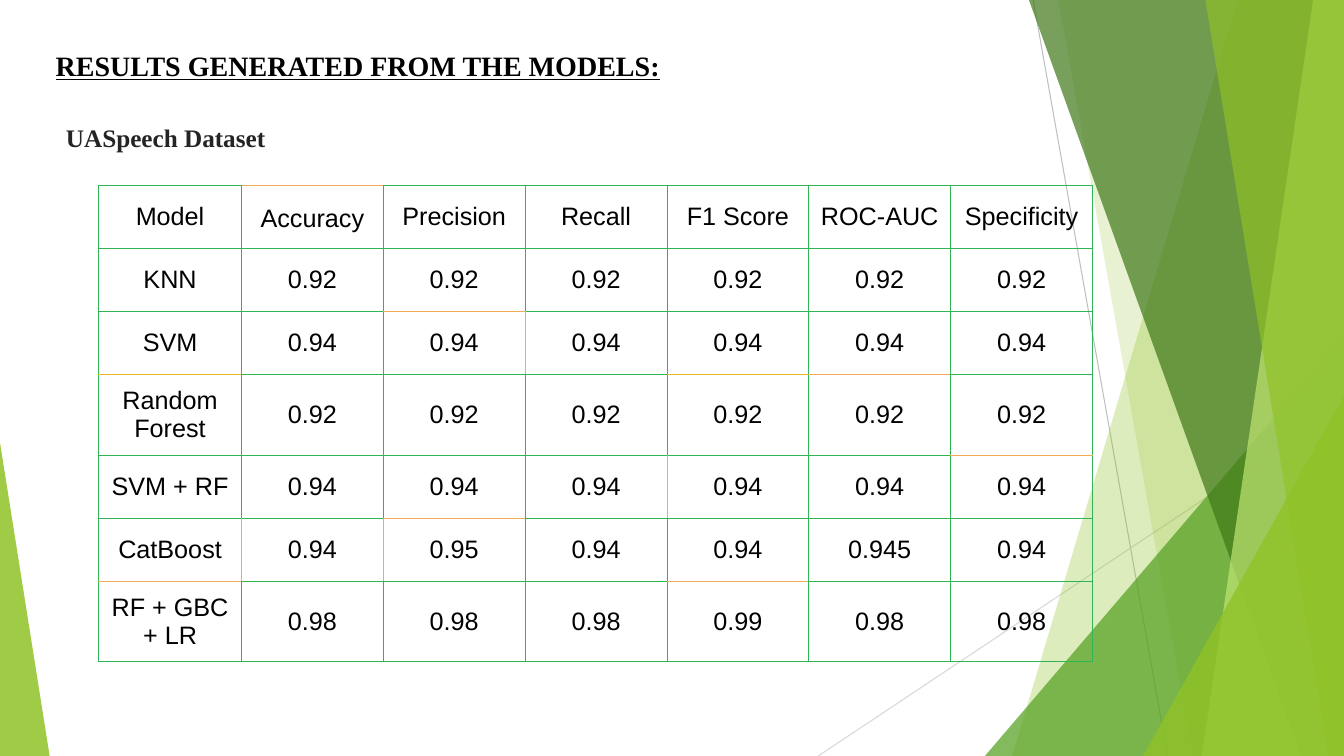
from lxml.etree import SubElement
from pptx import Presentation
from pptx.dml.color import RGBColor
from pptx.enum.shapes import MSO_CONNECTOR, MSO_SHAPE
from pptx.enum.text import MSO_ANCHOR, MSO_AUTO_SIZE, PP_ALIGN
from pptx.oxml.ns import qn
from pptx.util import Pt

THEME = {
    "black": "000000", "ink": "242424",
    "lime": "90C226", "green": "54A021", "forest": "3F7818", "pale": "BFE471",
    "line": "BFBFBF", "line_light": "D8D8D8",
    "border": "30B556", "orange": "F0AC56", "yellow": "E6B91E",
    "serif": "Times New Roman", "sans": "Arial",
    "title_size": 20, "body_size": 18, "line_width": 0.75,
}


def style_text(p, font, size, color, bold=False, underline=False):
    for r in p.runs:
        r.font.name = THEME[font]
        r.font.size = Pt(THEME[size])
        r.font.color.rgb = RGBColor.from_string(THEME[color])
        r.font.bold = bold
        r.font.underline = underline


def add_border(tc_pr, side, color):
    ln = SubElement(tc_pr, qn(f"a:ln{side}"), w=str(Pt(THEME["line_width"])))
    SubElement(SubElement(ln, qn("a:solidFill")), qn("a:srgbClr"), val=THEME[color])


prs = Presentation()
prs.slide_width, prs.slide_height = Pt(960), Pt(540)
s = prs.slides.add_slide(prs.slide_layouts[5])

# Thin background lines
for x1, y1, x2, y2, color in [
    (738, 0, 834, 540, "line"),
    (960, 290, 584.5, 540, "line_light"),
]:
    line = s.shapes.add_connector(MSO_CONNECTOR.STRAIGHT, Pt(x1), Pt(y1), Pt(x2), Pt(y2))
    line.line.color.rgb = RGBColor.from_string(THEME[color])
    line.line.width = Pt(THEME["line_width"])
    SubElement(line._element.spPr, qn("a:effectLst"))

# Translucent facets: a wedge is (top x, foot x) and reaches the right edge,
# a triangle is (left, top, width, apex) and stands on the bottom edge
facets = [
    ((884, 723), "lime", 30),
    ((756, 852), "lime", 20),
    ((703.5, 240, 256.5, 1), "green", 72),
    ((735, 929.5), "forest", 70),
    ((938, 858.5), "pale", 70),
    ((861, 949), "lime", 65),
    ((816.5, 283, 143.5, 1), "lime", 80),
    ((0, 316, 35.5, 0), "lime", 85),
]
for outline, color, opacity in facets:
    if len(outline) == 2:
        top_x, foot_x = outline
        builder = s.shapes.build_freeform(Pt(top_x), Pt(0))
        builder.add_line_segments(
            [(Pt(960), Pt(0)), (Pt(960), Pt(540)), (Pt(foot_x), Pt(540))])
        sp = builder.convert_to_shape()
    else:
        left, top, width, apex = outline
        sp = s.shapes.add_shape(MSO_SHAPE.ISOSCELES_TRIANGLE,
                                Pt(left), Pt(top), Pt(width), Pt(540 - top))
        sp.adjustments[0] = apex
    sp.shadow.inherit = False
    sp.line.fill.background()
    sp.fill.solid()
    sp.fill.fore_color.rgb = RGBColor.from_string(THEME[color])
    srgb = sp._element.spPr.find(qn("a:solidFill")).find(qn("a:srgbClr"))
    SubElement(srgb, qn("a:alpha"), val=str(opacity * 1000))

# Title and dataset heading
title = s.shapes.title
title.left, title.top, title.width, title.height = Pt(32.5), Pt(31), Pt(587), Pt(31.5)
title.text_frame.text = "RESULTS GENERATED FROM THE MODELS:"
style_text(title.text_frame.paragraphs[0], "serif", "title_size", "black", True, True)

heading = s.shapes.add_textbox(Pt(40), Pt(83.5), Pt(480), Pt(29))
heading.text_frame.text = "UASpeech Dataset"
style_text(heading.text_frame.paragraphs[0], "serif", "body_size", "ink", True)

for sp in (title, heading):
    tf = sp.text_frame
    tf.word_wrap = True
    tf.auto_size = MSO_AUTO_SIZE.SHAPE_TO_FIT_TEXT
    tf.vertical_anchor = MSO_ANCHOR.TOP
    tf.paragraphs[0].alignment = PP_ALIGN.LEFT

# Results table
results = [
    ["Model", "Accuracy", "Precision", "Recall", "F1 Score", "ROC-AUC", "Specificity"],
    ["KNN"] + ["0.92"] * 6,
    ["SVM"] + ["0.94"] * 6,
    ["Random Forest"] + ["0.92"] * 6,
    ["SVM + RF"] + ["0.94"] * 6,
    ["CatBoost", "0.94", "0.95", "0.94", "0.94", "0.945", "0.94"],
    ["RF + GBC + LR", "0.98", "0.98", "0.98", "0.99", "0.98", "0.98"],
]
# Accented grid edges: (edge above row, column) and (row, edge left of column)
row_edges = dict.fromkeys([(0, 1), (2, 2), (3, 5), (4, 6), (5, 2), (6, 0), (6, 4)], "orange")
row_edges.update({(3, 0): "yellow", (3, 4): "yellow"})
col_edges = dict.fromkeys([(2, 3), (4, 4), (5, 1), (5, 2)], "orange")

table = s.shapes.add_table(7, 7, Pt(70.5), Pt(132.5), Pt(710), Pt(340)).table
table.first_row = table.horz_banding = False
for i, col in enumerate(table.columns):
    col.width = Pt(102 if i == 0 else 101.33)
for i, row in enumerate(table.rows):
    row.height = Pt(57.5 if i in (3, 6) else 45)

for i, values in enumerate(results):
    for j, value in enumerate(values):
        cell = table.cell(i, j)
        cell.margin_left = cell.margin_right = Pt(7.2)
        cell.margin_top = cell.margin_bottom = Pt(7.2)
        cell.vertical_anchor = MSO_ANCHOR.MIDDLE
        p = cell.text_frame.paragraphs[0]
        p.text = value
        p.alignment = PP_ALIGN.CENTER
        if value == "Accuracy":
            p.line_spacing = 1.15
        style_text(p, "sans", "body_size", "black")
        tc_pr = cell._tc.get_or_add_tcPr()
        add_border(tc_pr, "L", col_edges.get((i, j), "border"))
        add_border(tc_pr, "R", col_edges.get((i, j + 1), "border"))
        add_border(tc_pr, "T", row_edges.get((i, j), "border"))
        add_border(tc_pr, "B", row_edges.get((i + 1, j), "border"))
        cell.fill.background()

prs.save("out.pptx")
